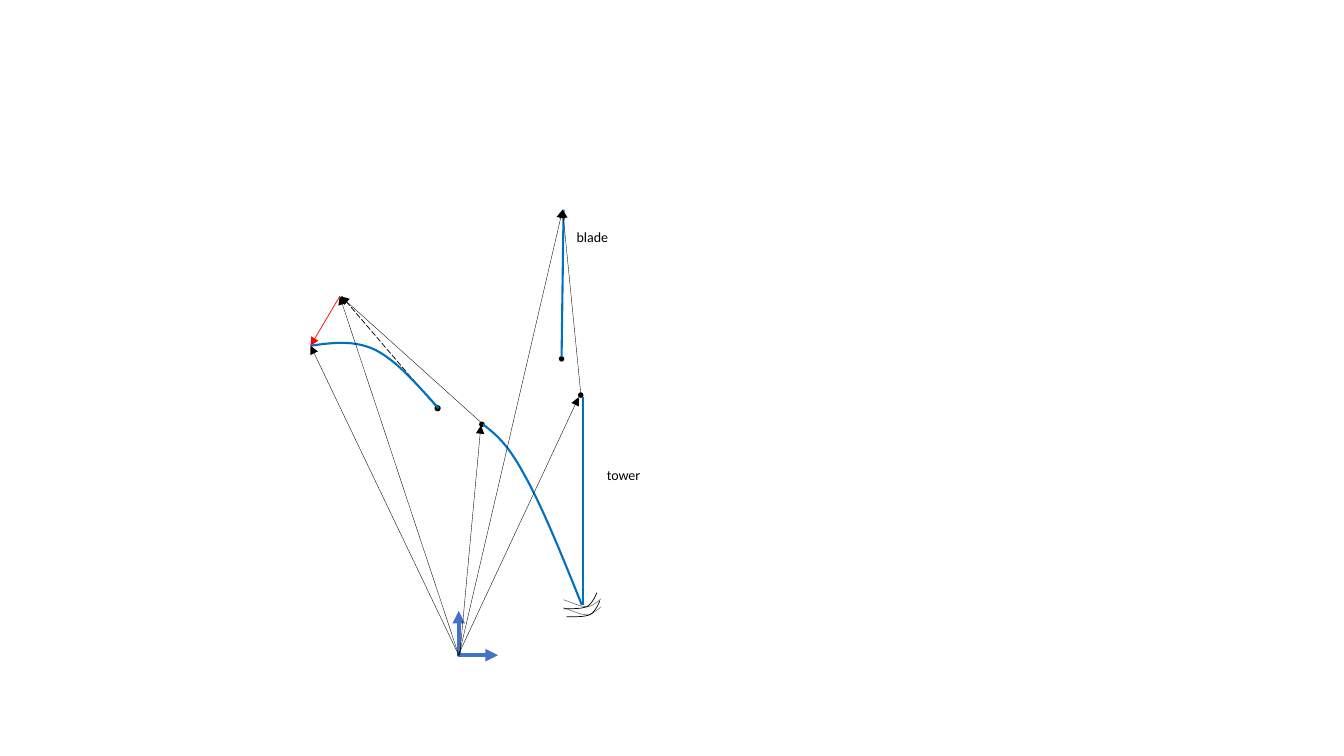
from dataclasses import dataclass
from itertools import product

from lxml.etree import SubElement
from pptx import Presentation
from pptx.dml.color import RGBColor
from pptx.enum.dml import MSO_LINE
from pptx.enum.shapes import MSO_CONNECTOR, MSO_SHAPE
from pptx.enum.text import MSO_AUTO_SIZE, PP_ALIGN
from pptx.oxml.ns import qn
from pptx.util import Pt

PX = 9144
COLORS = {
    "black": "000000",
    "gray": "808080",
    "blue": "0070C0",
    "axis": "4472C4",
    "red": "FF0000",
}
Point = tuple[int, int]


@dataclass
class Joint:
    x: int
    y: int
    angle: float = 0
    width: float = 1


@dataclass
class Segment:
    start: Point
    end: Point
    color: str = "black"
    width: float = 0.25
    arrow: bool = True
    dashed: bool = False


@dataclass
class Curve:
    points: list[Point]
    color: str = "blue"
    width: float = 1.5


JOINTS = [
    Joint(574, 390),
    Joint(555, 354),
    Joint(476, 419, 336.1),
    Joint(432, 403, 318.1, 1.5),
]
MEMBERS = [
    Segment((578, 600), (578, 394), "blue", 1.5, arrow=False),
    Segment((557, 354), (559, 208), "blue", 1.5, arrow=False),
    Segment((433, 404), (339, 294), width=0.5, arrow=False, dashed=True),
]
GROUND = [
    (Curve([(559, 595), (568, 598), (576, 602), (582, 602),
            (588, 602), (596, 594), (596, 594)], "gray", 0.5), (0, 8)),
    (Curve([(559, 604), (568, 604), (577, 604), (582, 602),
            (588, 599), (592, 588), (592, 588)], "black", 0.5), (3, 8)),
]
BENT_MEMBERS = [
    Curve([(435, 405), (414, 382), (394, 358), (372, 347),
           (351, 337), (329, 340), (308, 343)]),
    Curve([(577, 600), (557, 550), (537, 501), (520, 471),
           (504, 441), (492, 431), (479, 421)]),
]
VECTORS = [
    Segment((455, 651), (455, 606), "axis", 3),
    Segment((454, 650), (494, 650), "axis", 3),
    Segment((337, 294), (308, 343), "red", 0.5),
    Segment((455, 650), (308, 343)),
    Segment((455, 650), (337, 294)),
    Segment((456, 650), (477, 422)),
    Segment((477, 419), (338, 294)),
    Segment((576, 390), (558, 208)),
    Segment((455, 651), (558, 208)),
    Segment((454, 651), (574, 394)),
]


def rgb(name: str) -> RGBColor:
    return RGBColor.from_string(COLORS[name])


def set_line(sp, color: str, width: float) -> None:
    sp.line.color.rgb = rgb(color)
    sp.line.width = Pt(width)


def draw_joint(s, joint: Joint) -> None:
    sp = s.shapes.add_shape(
        MSO_SHAPE.OVAL, joint.x * PX, joint.y * PX, 4 * PX, 4 * PX)
    sp.rotation = joint.angle
    sp.shadow.inherit = False
    sp.fill.solid()
    sp.fill.fore_color.rgb = rgb("black")
    set_line(sp, "black", joint.width)


def draw_segment(s, segment: Segment) -> None:
    ends = [v * PX for v in (*segment.start, *segment.end)]
    sp = s.shapes.add_connector(MSO_CONNECTOR.STRAIGHT, *ends)
    set_line(sp, segment.color, segment.width)
    if segment.dashed:
        sp.line.dash_style = MSO_LINE.LONG_DASH
    props = sp._element.spPr
    if segment.arrow:
        SubElement(props.find(qn("a:ln")), qn("a:tailEnd"), type="triangle")
    SubElement(props, qn("a:effectLst"))


def draw_curve(s, curve: Curve, dx: int = 0, dy: int = 0) -> None:
    start, *rest = [(x + dx, y + dy) for x, y in curve.points]
    builder = s.shapes.build_freeform(*start, scale=PX)
    builder.add_line_segments(rest, close=False)
    sp = builder.convert_to_shape()
    sp.shadow.inherit = False
    sp.fill.background()
    set_line(sp, curve.color, curve.width)
    outline = next(sp._element.iter(qn("a:path")))
    steps = outline.findall(qn("a:lnTo"))
    for i in range(0, len(steps), 3):
        bezier = SubElement(outline, qn("a:cubicBezTo"))
        for step in steps[i:i + 3]:
            bezier.append(step[0])
            outline.remove(step)


def add_text(s, text: str, *, x: int, y: int, w: int, h: int = 27,
             size: int = 10, color: str = "black",
             font: str = "Calibri") -> None:
    sp = s.shapes.add_textbox(x * PX, y * PX, w * PX, h * PX)
    tf = sp.text_frame
    tf.word_wrap = False
    tf.auto_size = MSO_AUTO_SIZE.SHAPE_TO_FIT_TEXT
    p = tf.paragraphs[0]
    p.alignment = PP_ALIGN.LEFT
    r = p.add_run()
    r.text = text
    r.font.name = font
    r.font.size = Pt(size)
    r.font.color.rgb = rgb(color)


def main() -> None:
    prs = Presentation()
    prs.slide_width = 1333 * PX
    prs.slide_height = 750 * PX
    s = prs.slides.add_slide(prs.slide_layouts[6])
    for joint in JOINTS:
        draw_joint(s, joint)
    for member in MEMBERS:
        draw_segment(s, member)
    for (curve, (dx, dy)), row in product(GROUND, range(2)):
        draw_curve(s, curve, row * dx, row * dy)
    for curve in BENT_MEMBERS:
        draw_curve(s, curve)
    for vector in VECTORS:
        draw_segment(s, vector)
    add_text(s, "tower", x=592, y=458, w=54)
    add_text(s, "blade", x=562, y=222, w=52)
    prs.save("out.pptx")


if __name__ == "__main__":
    main()
